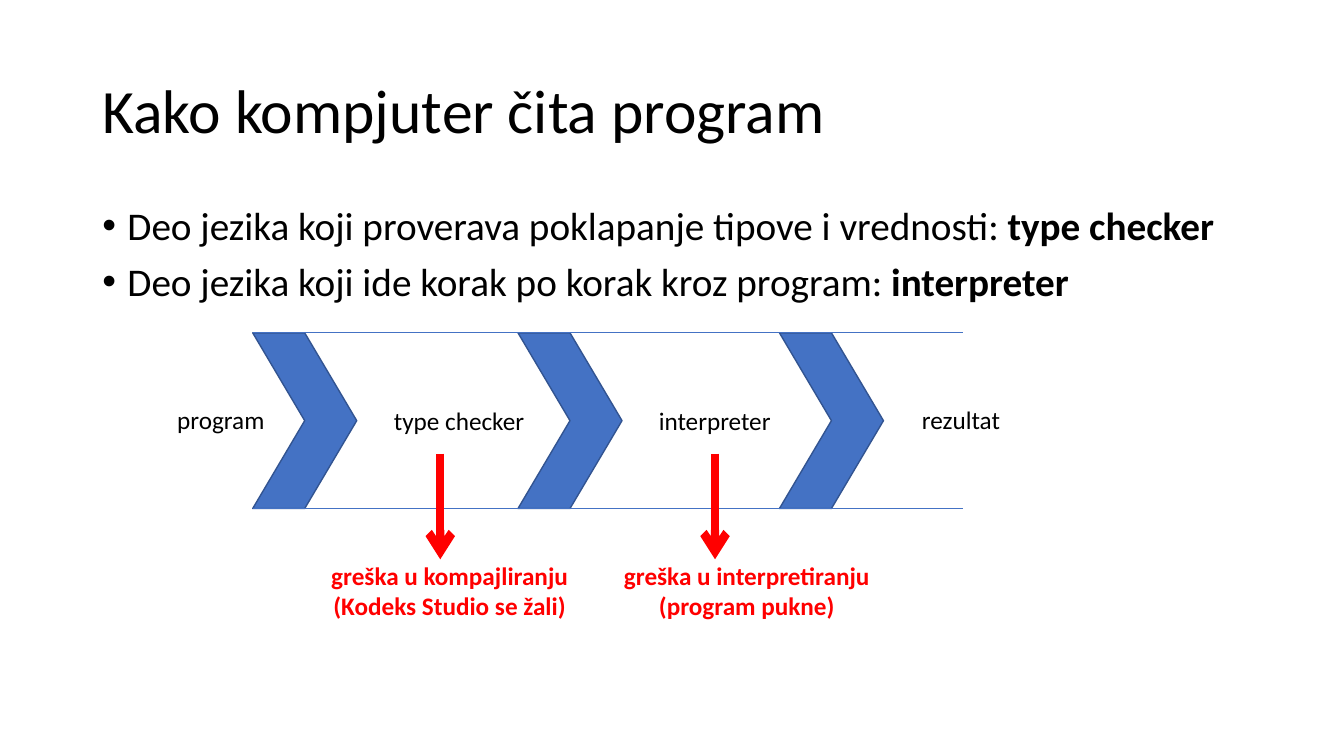
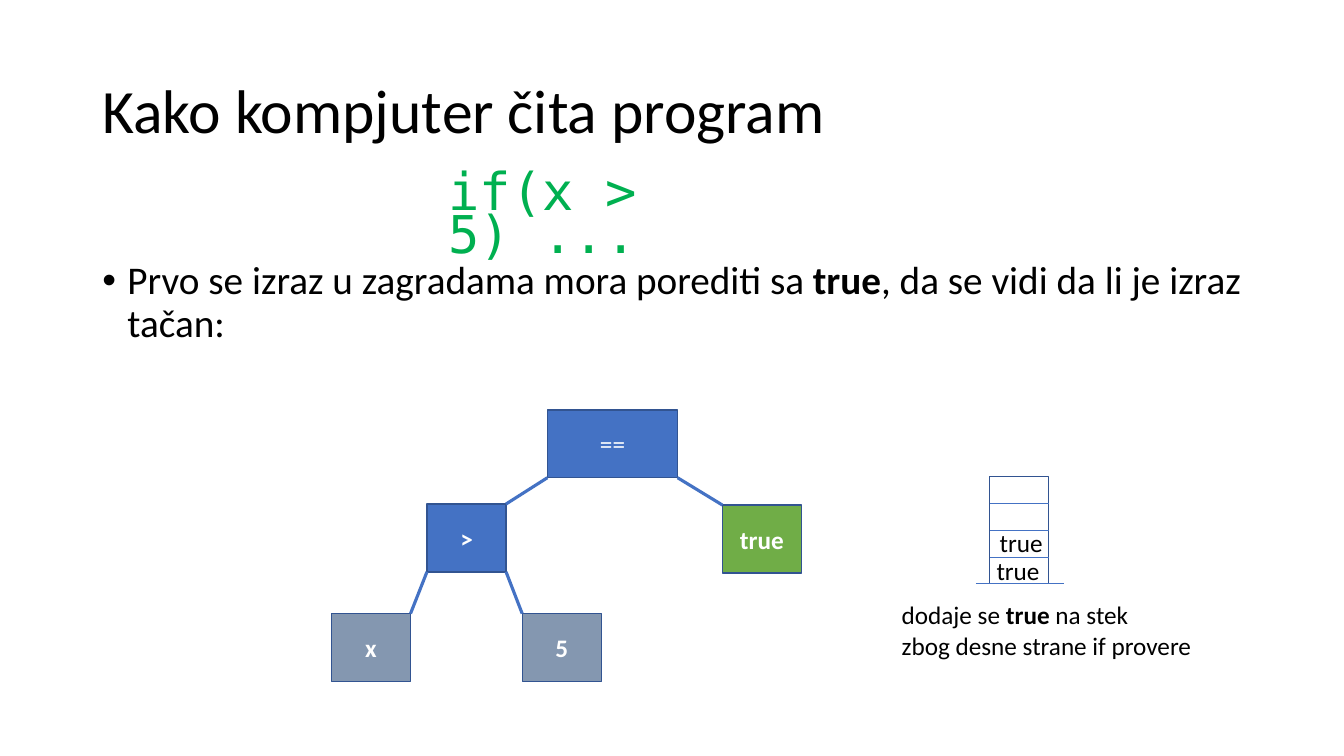
"""Build two slides on how a computer reads a program."""
import pptx
import pptx.dml.color
import pptx.enum.shapes
import pptx.enum.text
import pptx.oxml
import pptx.oxml.ns
import pptx.util

Pt = pptx.util.Pt
RGBColor = pptx.dml.color.RGBColor
SHAPE = pptx.enum.shapes.MSO_SHAPE
ALIGN = pptx.enum.text.PP_ALIGN
ANCHOR = pptx.enum.text.MSO_ANCHOR

BLACK = RGBColor(0x00, 0x00, 0x00)
WHITE = RGBColor(0xFF, 0xFF, 0xFF)
BLUE = RGBColor(0x44, 0x72, 0xC4)
DARK_BLUE = RGBColor(0x32, 0x54, 0x91)
GRAY_BLUE = RGBColor(0x84, 0x97, 0xB0)
GREEN = RGBColor(0x70, 0xAD, 0x47)
CODE_GREEN = RGBColor(0x00, 0xB0, 0x50)
RED = RGBColor(0xFF, 0x00, 0x00)
BODY_FONT = "Calibri"
CODE_FONT = "DejaVu Sans Mono"


def add_text(slide, box, paragraphs, size=18, color=BLACK, font=BODY_FONT,
             align=ALIGN.LEFT, line_spacing=1.0, space_before=0, bullet=False):
    """Add a text box; each paragraph is a list of (text, bold) runs."""
    shape = slide.shapes.add_textbox(*(Pt(length) for length in box))
    frame = shape.text_frame
    frame.word_wrap = True
    for index, runs in enumerate(paragraphs):
        paragraph = frame.add_paragraph() if index else frame.paragraphs[0]
        paragraph.alignment = align
        paragraph.line_spacing = line_spacing
        paragraph.space_before = Pt(space_before)
        if bullet:
            properties = paragraph._p.get_or_add_pPr()
            properties.set("marL", str(Pt(18)))
            properties.set("indent", str(Pt(-18)))
            for tag, name, value in (("a:buFont", "typeface", "Arial"), ("a:buChar", "char", "•")):
                element = pptx.oxml.ns.qn(tag)
                properties.append(properties.makeelement(element, {name: value}))
        for text, bold in runs:
            run = paragraph.add_run()
            run.text = text
            run.font.size = Pt(size)
            run.font.name = font
            run.font.bold = bold
            run.font.color.rgb = color
    return shape


def add_line(slide, start, end, width, color=BLUE, arrow=False):
    """Add a straight line, with an arrowhead at its end if asked."""
    points = (Pt(length) for length in (*start, *end))
    line = slide.shapes.add_connector(pptx.enum.shapes.MSO_CONNECTOR.STRAIGHT, *points)
    line.line.color.rgb = color
    line.line.width = Pt(width)
    properties = line._element.spPr
    if arrow:
        outline = line.line._get_or_add_ln()
        outline.append(outline.makeelement(pptx.oxml.ns.qn("a:tailEnd"), {"type": "arrow"}))
    properties.append(properties.makeelement(pptx.oxml.ns.qn("a:effectLst"), {}))


presentation = pptx.Presentation()
presentation.slide_width = Pt(960)
presentation.slide_height = Pt(540)

slides = []
for _ in range(2):
    slide = presentation.slides.add_slide(presentation.slide_layouts[6])
    title = add_text(slide, (66, 28.75, 828, 104.4), [[("Kako kompjuter čita program", False)]],
                     size=44, line_spacing=0.9)
    title.text_frame.vertical_anchor = ANCHOR.MIDDLE
    slides.append(slide)
pipeline_slide, tree_slide = slides

add_text(pipeline_slide, (66, 143.75, 828, 342.6), [
    [("Deo jezika koji proverava poklapanje tipove i vrednosti: ", False), ("type checker", True)],
    [("Deo jezika koji ide korak po korak kroz program: ", False), ("interpreter", True)],
], size=28, line_spacing=0.9, space_before=10, bullet=True)

pipe_left, pipe_top, pipe_right, pipe_bottom = 180.5, 237.75, 688, 363.25
for left in (180.5, 370, 556.75):
    chevron = pipeline_slide.shapes.add_shape(
        SHAPE.CHEVRON, Pt(left), Pt(pipe_top), Pt(74.3), Pt(pipe_bottom - pipe_top))
    chevron.shadow.inherit = False
    chevron.fill.solid()
    chevron.fill.fore_color.rgb = BLUE
    chevron.line.color.rgb = DARK_BLUE
    chevron.line.width = Pt(1)
for edge in (pipe_top, pipe_bottom):
    add_line(pipeline_slide, (pipe_left, edge), (pipe_right, edge), 0.5)

for label, left, top, width in (
    ("program", 119.5, 285, 87),
    ("type checker", 274.3, 286, 152),
    ("interpreter", 463.5, 286, 101),
    ("rezultat", 651.5, 285, 87),
):
    add_text(pipeline_slide, (left, top, width, 29), [[(label, False)]])

for arrow_x, left, width, messages in (
    (314.5, 219, 204.5, ("greška u kompajliranju", "(Kodeks Studio se žali)")),
    (510.75, 435.5, 196, ("greška u interpretiranju", "(program pukne)")),
):
    add_line(pipeline_slide, (arrow_x, 324), (arrow_x, 399.5), 6, RED, arrow=True)
    add_text(pipeline_slide, (left, 396.75, width, 51), [[(message, True)] for message in messages],
             color=RED, align=ALIGN.CENTER)

add_text(tree_slide, (66, 182.75, 828, 303.8), [[
    ("Prvo se izraz u zagradama mora porediti sa ", False),
    ("true", True),
    (", da se vidi da li je izraz tačan:", False),
]], size=28, line_spacing=0.9, space_before=10, bullet=True)
code = add_text(tree_slide, (313.2, 121.7, 285, 56), [[("if(x > 5) ...", False)]], size=37.2,
                color=CODE_GREEN, font=CODE_FONT, line_spacing=0.7, space_before=10)
code.text_frame.margin_right = Pt(100)

node_height = 48.5
nodes = {
    "true": (516, 360.75, 56.5, GREEN),
    "==": (391, 292.75, 93, BLUE),
    ">": (305, 360, 56.5, BLUE),
    "x": (236.75, 438.25, 56.5, GRAY_BLUE),
    "5": (373, 438.25, 56.5, GRAY_BLUE),
}
for label, (left, top, width, color) in nodes.items():
    node = tree_slide.shapes.add_shape(SHAPE.RECTANGLE, Pt(left), Pt(top), Pt(width), Pt(node_height))
    node.shadow.inherit = False
    node.fill.solid()
    node.fill.fore_color.rgb = color
    node.line.color.rgb = DARK_BLUE
    node.line.width = Pt(1)
    node.text_frame.text = label
    node.text_frame.vertical_anchor = ANCHOR.MIDDLE
    paragraph = node.text_frame.paragraphs[0]
    paragraph.alignment = ALIGN.CENTER
    font = paragraph.runs[0].font
    font.name = BODY_FONT
    font.size = Pt(18)
    font.bold = label != "=="
    font.color.rgb = WHITE

for parent, left_child, right_child in (("==", ">", "true"), (">", "x", "5")):
    parent_left, parent_top, parent_width, _ = nodes[parent]
    parent_bottom = parent_top + node_height
    left, top, width, _ = nodes[left_child]
    add_line(tree_slide, (parent_left, parent_bottom), (left + width, top), 2.25)
    left, top, width, _ = nodes[right_child]
    add_line(tree_slide, (parent_left + parent_width, parent_bottom), (left, top), 2.25)

stack_left, stack_top, stack_width, stack_rows, row_height = 707, 340.5, 42, 4, 19.1
stack_bottom = stack_top + stack_rows * row_height
stack = tree_slide.shapes.add_shape(
    SHAPE.RECTANGLE, Pt(stack_left), Pt(stack_top), Pt(stack_width), Pt(stack_bottom - stack_top))
stack.shadow.inherit = False
stack.fill.solid()
stack.fill.fore_color.rgb = WHITE
stack.line.color.rgb = DARK_BLUE
stack.line.width = Pt(1)
for row in range(1, stack_rows):
    row_top = stack_top + row * row_height
    add_line(tree_slide, (stack_left, row_top), (stack_left + stack_width, row_top), 0.5)
add_line(tree_slide, (stack_left - 10, stack_bottom), (stack_left + stack_width + 11, stack_bottom), 1)

add_text(tree_slide, (637, 424.75, 241, 51), [
    [("dodaje se ", False), ("true ", True), ("na stek", False)],
    [("zbog desne strane if provere", False)],
])
for left, top in ((704.75, 393), (707, 373)):
    add_text(tree_slide, (left, top, 57.5, 29), [[("true", False)]])

presentation.save("out.pptx")
